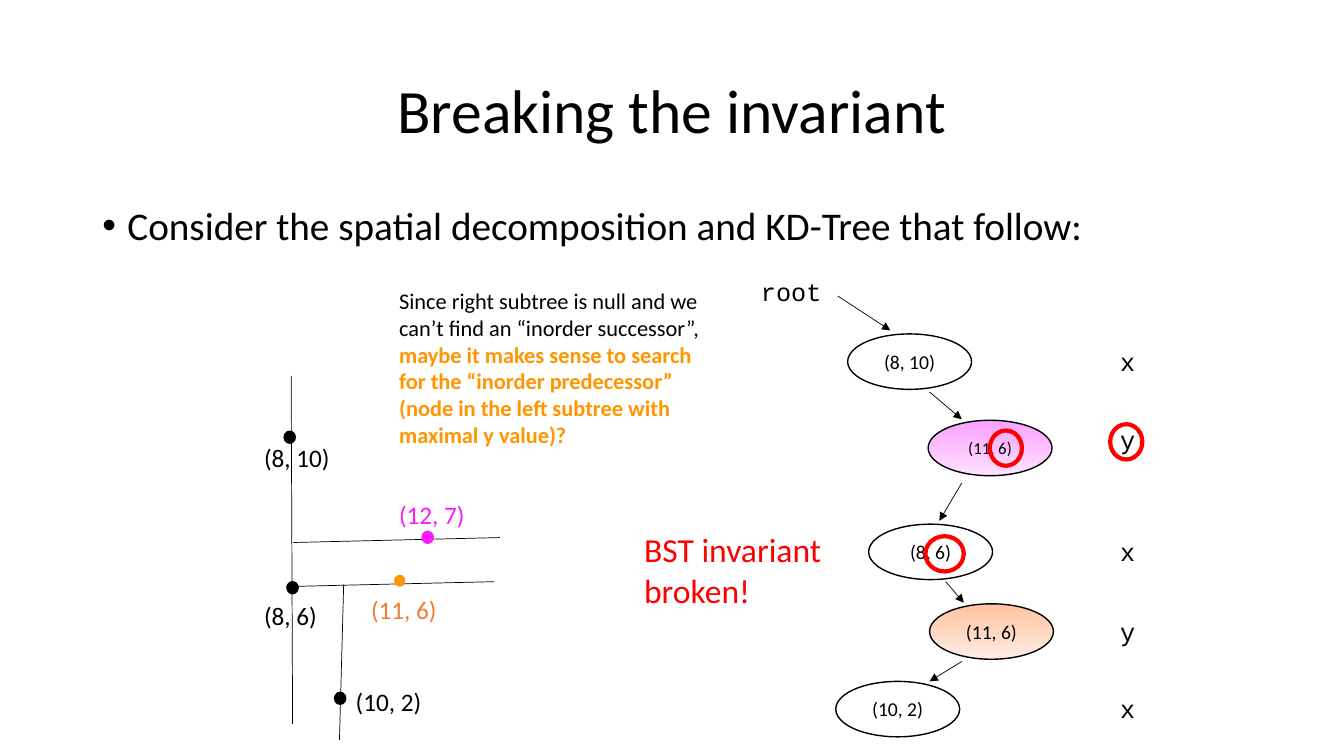
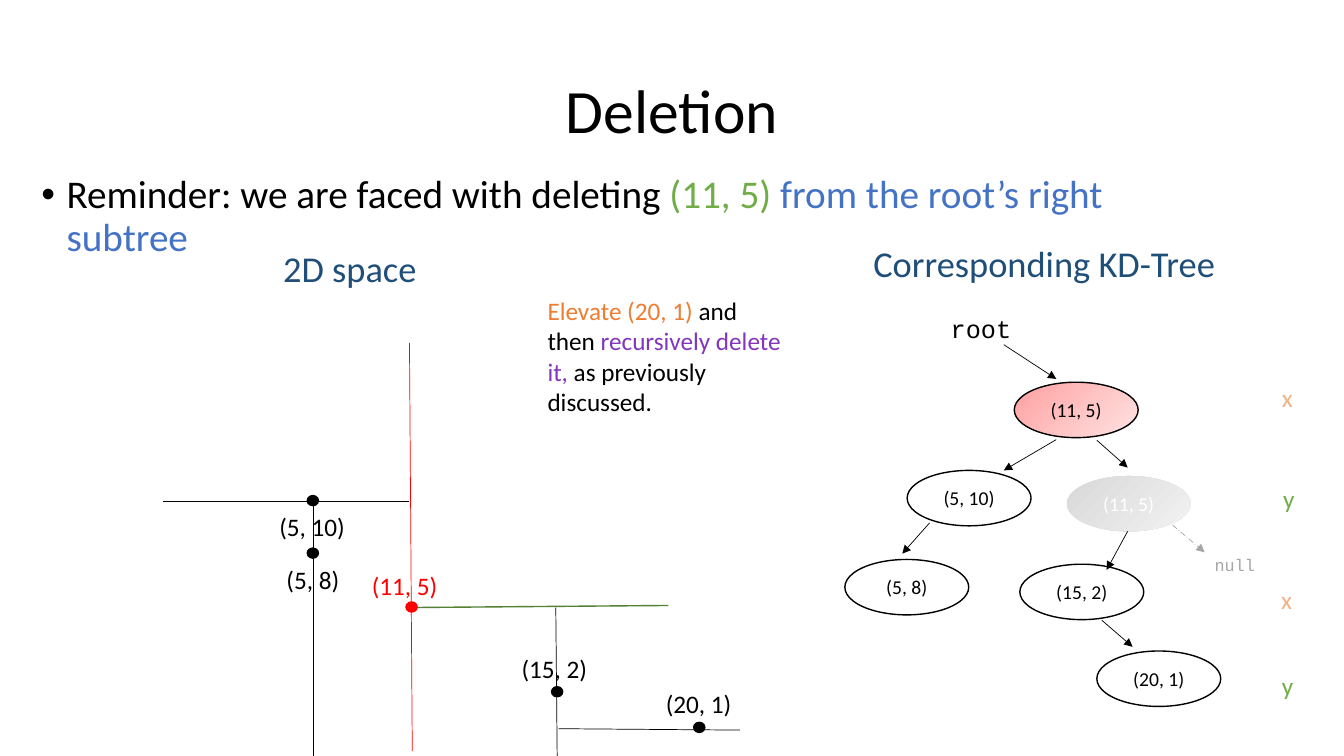
from lxml import etree
from pptx import Presentation
from pptx.dml.color import RGBColor
from pptx.enum import dml, shapes, text
from pptx.oxml import ns
from pptx.util import Pt

BLACK = RGBColor(0x00, 0x00, 0x00)
WHITE = RGBColor(0xFF, 0xFF, 0xFF)
RED = RGBColor(0xFF, 0x00, 0x00)
AMBER = RGBColor(0xFF, 0x95, 0x00)
ORANGE = RGBColor(0xED, 0x7D, 0x31)
PEACH = RGBColor(0xF4, 0xB1, 0x83)
MAGENTA = RGBColor(0xF9, 0x1B, 0xFF)
PURPLE = RGBColor(0x83, 0x36, 0xBD)
GREEN = RGBColor(0x70, 0xAD, 0x47)
DARK_GREEN = RGBColor(0x54, 0x82, 0x35)
BLUE = RGBColor(0x44, 0x72, 0xC4)
NAVY = RGBColor(0x1F, 0x4E, 0x79)
GREY = RGBColor(0xA6, 0xA6, 0xA6)

# Gradient ends for highlighted tree nodes
PINK_FADE = RGBColor(0xFB, 0xA0, 0xFF), RGBColor(0xFE, 0xE3, 0xFF)
PEACH_FADE = RGBColor(0xFF, 0xC2, 0xA0), RGBColor(0xFF, 0xEC, 0xE3)
RED_FADE = RGBColor(0xFF, 0xA0, 0xA0), RGBColor(0xFF, 0xE3, 0xE3)
GREY_FADE = RGBColor(0xD8, 0xD8, 0xD8), RGBColor(0xF2, 0xF2, 0xF2)

SANS, MONO = "Calibri", "Courier New"
LEFT, CENTER = text.PP_ALIGN.LEFT, text.PP_ALIGN.CENTER
NODE_W, NODE_H = 88.5, 39.6


# Text
def write(tf, content, size=18, color=BLACK, font=SANS, align=LEFT,
          spacing=None, wrap=True):
    """Fill a frame with a string or a list of (text, colour, bold) runs."""
    tf.word_wrap = wrap
    p = tf.paragraphs[0]
    p.alignment = align
    if spacing:
        p.line_spacing = spacing
    runs = [(content, color, False)] if isinstance(content, str) else content
    for words, run_color, bold in runs:
        r = p.add_run()
        r.text = words
        r.font.name, r.font.size, r.font.bold = font, Pt(size), bold
        r.font.color.rgb = run_color
    return p


def label(s, content, x, y, w=82, h=29, **fmt):
    box = s.shapes.add_textbox(Pt(x), Pt(y), Pt(w), Pt(h))
    return write(box.text_frame, content, **fmt)


def bullet(s, content, x, y):
    p = label(s, content, x, y, 828, 343, size=28, spacing=0.9)
    pPr = p._p.get_or_add_pPr()
    pPr.set("marL", str(Pt(18)))
    pPr.set("indent", str(Pt(-18)))
    etree.SubElement(pPr, ns.qn("a:buFont")).set("typeface", "Arial")
    etree.SubElement(pPr, ns.qn("a:buChar")).set("char", "•")


def titled_slide(prs, title):
    s = prs.slides.add_slide(prs.slide_layouts[5])
    sp = s.shapes.title
    sp.left, sp.top, sp.width, sp.height = Pt(66), Pt(29), Pt(828), Pt(104)
    sp.text_frame.vertical_anchor = text.MSO_ANCHOR.MIDDLE
    write(sp.text_frame, title, size=44, align=CENTER, spacing=0.9)
    return s


# Drawing
def ellipse(s, x, y, w, h, fill=None, outline=BLACK, weight=1):
    sp = s.shapes.add_shape(shapes.MSO_SHAPE.OVAL, Pt(x), Pt(y), Pt(w), Pt(h))
    sp.shadow.inherit = False
    if fill:
        sp.fill.solid()
        sp.fill.fore_color.rgb = fill
    else:
        sp.fill.background()
    if outline:
        sp.line.color.rgb = outline
        sp.line.width = Pt(weight)
    else:
        sp.line.fill.background()
    return sp


def node(s, name, x, y, fade=None, angle=315, size=14, color=BLACK, outline=BLACK):
    sp = ellipse(s, x, y, NODE_W, NODE_H, outline=outline)
    if fade:
        sp.fill.gradient()
        sp.fill.gradient_angle = angle
        for stop, shade in zip(sp.fill.gradient_stops, fade):
            stop.color.rgb = shade
    tf = sp.text_frame
    tf.vertical_anchor = text.MSO_ANCHOR.MIDDLE
    write(tf, name, size=size, color=color, align=CENTER, wrap=False)


def line(s, x1, y1, x2, y2, color=BLACK, weight=0.5, arrow=False, dash=None):
    c = s.shapes.add_connector(shapes.MSO_CONNECTOR.STRAIGHT,
                               Pt(x1), Pt(y1), Pt(x2), Pt(y2))
    c.line.color.rgb = color
    c.line.width = Pt(weight)
    if dash:
        c.line.dash_style = dash
    if arrow:
        ln = c.line._get_or_add_ln()
        etree.SubElement(ln, ns.qn("a:tailEnd")).set("type", "triangle")
    etree.SubElement(c._element.spPr, ns.qn("a:effectLst"))


def arrows(s, ends):
    for end in ends:
        line(s, *end, arrow=True)


# Slides
def invariant_slide(prs):
    s = titled_slide(prs, "Breaking the invariant")
    bullet(s, "Consider the spatial decomposition and KD-Tree that follow:", 66, 144)

    # Tree
    arrows(s, [(598.5, 211.5, 636, 236), (664, 280, 687, 299.5),
               (687, 345, 671, 372), (675.5, 415.5, 688.5, 430.5),
               (687, 472.5, 664, 486.7)])
    label(s, "root", 536.5, 193.5, 66, font=MONO)
    node(s, "(8, 10)", 605.5, 238.5)
    node(s, "(11, 6)", 663, 300.2, PINK_FADE, 270, size=12)
    node(s, "(8, 6)", 620.5, 374.4)
    node(s, "(11, 6)", 664, 431.3, PEACH_FADE, 270)
    node(s, "(10, 2)", 597, 486.7)
    for axis, y in zip("xyxyx", (243.5, 299.5, 379.5, 436.5, 492)):
        label(s, axis, 793, y, 32, font=MONO)

    # Plane
    for ends in [(208, 268.5, 209, 517), (204.5, 419, 353, 415.5),
                 (245.5, 417.5, 242.5, 528.5), (209.5, 387.5, 357, 384)]:
        line(s, *ends)
    for x, y, color, outline in [
            (203, 308, BLACK, BLACK), (301.5, 379.5, MAGENTA, MAGENTA),
            (205, 415.5, BLACK, BLACK), (281.5, 410.5, AMBER, None),
            (239, 494.5, BLACK, BLACK)]:
        ellipse(s, x, y, 8, 8.6, color, outline)
    for name, x, y, color in [
            ("(8, 10)", 181.5, 312.5, BLACK), ("(12, 7)", 278, 353, MAGENTA),
            ("(8, 6)", 181.5, 425.5, BLACK), ("(11, 6)", 258, 421, ORANGE),
            ("(10, 2)", 247, 486.5, BLACK)]:
        label(s, name, x, y, color=color)

    # Remarks and rings
    label(s, [("Since right subtree is null and we can’t find an “inorder "
               "successor”, ", BLACK, False),
              ("maybe it makes sense to search for the “inorder predecessor” "
               "(node in the left subtree with maximal y value)?", AMBER, True)],
          278, 201.5, 229, 124, size=16)
    for x, y, w in [(661, 383, 27.4), (707, 307.5, 23), (793, 303, 23)]:
        ellipse(s, x, y, w, 25.2, outline=RED, weight=3)
    label(s, "BST invariant broken!", 453, 374.4, 152.6, 65.5, size=24, color=RED)


def deletion_slide(prs):
    s = titled_slide(prs, "Deletion")
    bullet(s, [("Reminder: we are faced with deleting ", BLACK, False),
               ("(11, 5) ", GREEN, False),
               ("from the root’s right subtree", BLUE, False)], 22.5, 121.5)
    label(s, "2D space", 165.5, 172, 169, 39, size=26, color=NAVY, align=CENTER)
    label(s, "Corresponding KD-Tree", 613.5, 168.5, 265, 39,
          size=26, color=NAVY, align=CENTER)

    # Tree
    label(s, "root", 672, 220.5, 66, font=MONO)
    node(s, "(11, 5)", 724.5, 273, RED_FADE)
    node(s, "(5, 10)", 648, 336)
    node(s, "(11, 5)", 762, 340, GREY_FADE, color=WHITE, outline=None)
    node(s, "(5, 8)", 603.5, 399.6)
    node(s, "(15, 2)", 728.5, 403)
    node(s, "(20, 1)", 783.5, 465)
    arrows(s, [(717, 246.2, 754.5, 270.7), (754.5, 314, 717, 336),
               (783.5, 314.5, 805.5, 334), (805.5, 379.5, 790.5, 407),
               (787, 443, 809, 462), (664, 373.5, 644.5, 395.5)])
    line(s, 837.5, 375, 860.5, 394.5, GREY, arrow=True,
         dash=dml.MSO_LINE.LONG_DASH_DOT)
    label(s, "null", 860.5, 393, 47.5, 22, size=12, color=GREY, font=MONO)
    for axis, x, y in [("x", 908.5, 269.5), ("y", 909.5, 341.5),
                       ("x", 908, 413.5), ("y", 908.5, 475)]:
        label(s, axis, x, y, 24, color=PEACH if axis == "x" else GREEN)

    # Plane
    line(s, 294.5, 536.5, 292.5, 245, RED)
    line(s, 477.5, 432.5, 290, 434, DARK_GREEN, 1)
    for ends in [(292.5, 358, 116.5, 358), (398, 540, 397, 434),
                 (528.5, 521.5, 399, 520.5), (224, 540, 224, 361.5)]:
        line(s, *ends)
    for name, x, y, dot_x, dot_y, color in [
            ("(5, 10)", 192, 362, 219.5, 354, BLACK),
            ("(5, 8)", 192.5, 399.6, 219.5, 391.5, BLACK),
            ("(11, 5)", 258, 404, 290, 430, RED),
            ("(15, 2)", 365, 463, 394, 490.5, BLACK),
            ("(20, 1)", 468, 488, 495.5, 516, BLACK)]:
        label(s, name, x, y, 62, color=color, align=CENTER, wrap=False)
        ellipse(s, dot_x, dot_y, 8, 7.2, color, color)

    # Remark
    label(s, [("Elevate (20, 1) ", ORANGE, False), ("and then ", BLACK, False),
              ("recursively delete it, ", PURPLE, False),
              ("as previously discussed.", BLACK, False)], 384, 207.5, 186.5, 94)


def main():
    prs = Presentation()
    prs.slide_width, prs.slide_height = Pt(960), Pt(540)
    invariant_slide(prs)
    deletion_slide(prs)
    prs.save("out.pptx")


if __name__ == "__main__":
    main()
